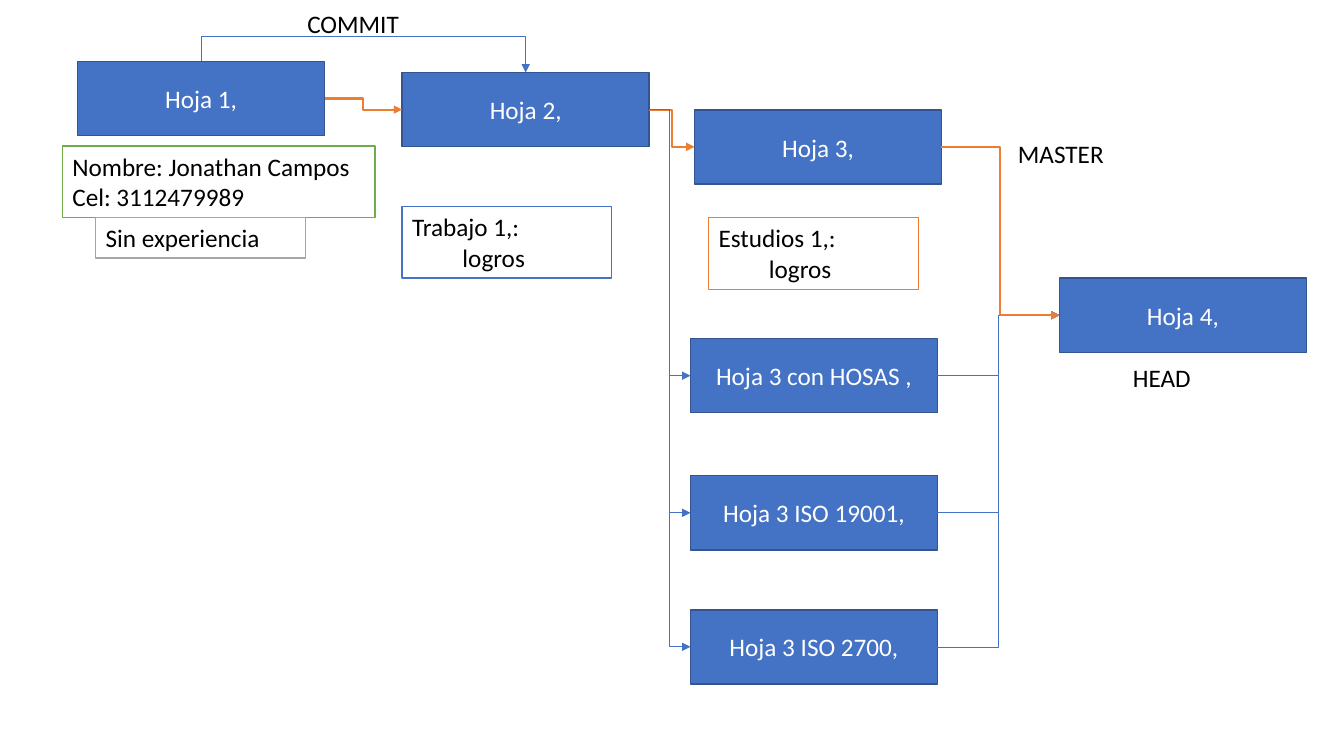
import pptx
import pptx.util
import pptx.dml.color
import pptx.enum.shapes
import pptx.enum.text
import pptx.oxml
import pptx.oxml.ns

presentation = pptx.Presentation()
presentation.slide_width = pptx.util.Inches(13.33)
presentation.slide_height = pptx.util.Inches(7.5)
slide = presentation.slides.add_slide(presentation.slide_layouts[6])

column = presentation.slide_width / 40
row = presentation.slide_height / 30
colors = {
    "blue": "4472C4", "navy": "325491", "orange": "ED7D31", "green": "70AD47",
    "gray": "A5A5A5", "white": "FFFFFF", "black": "000000",
}
TOP, LEFT, RIGHT = 0, 1, 3


def add_box(lines, left, top, width, height, fill=None, outline=None, ink="black", sheet=False):
    bounds = [int(left * column), int(top * row), int(width * column), int(height * row)]
    if fill:
        shape = slide.shapes.add_shape(pptx.enum.shapes.MSO_SHAPE.RECTANGLE, *bounds)
        shape.shadow.inherit = False
        shape.fill.solid()
        shape.fill.fore_color.rgb = pptx.dml.color.RGBColor.from_string(colors[fill])
        shape.line.color.rgb = pptx.dml.color.RGBColor.from_string(colors[outline])
        shape.line.width = pptx.util.Pt(1)
    else:
        shape = slide.shapes.add_textbox(*bounds)
    frame = shape.text_frame
    frame.word_wrap = True
    anchors = pptx.enum.text.MSO_ANCHOR
    frame.vertical_anchor = anchors.MIDDLE if sheet else anchors.TOP
    alignments = pptx.enum.text.PP_ALIGN
    for index, line in enumerate(lines):
        paragraph = frame.add_paragraph() if index else frame.paragraphs[0]
        paragraph.alignment = alignments.CENTER if sheet else alignments.LEFT
        run = paragraph.add_run()
        run.text = line
        run.font.name = "Calibri"
        run.font.size = pptx.util.Pt(18)
        run.font.color.rgb = pptx.dml.color.RGBColor.from_string(colors[ink])
    return shape


def add_arrow(start, start_site, end, end_site, color, weight):
    connector = slide.shapes.add_connector(pptx.enum.shapes.MSO_CONNECTOR.ELBOW, 0, 0, 0, 0)
    connector.begin_connect(start, start_site)
    connector.end_connect(end, end_site)
    connector.line.color.rgb = pptx.dml.color.RGBColor.from_string(colors[color])
    connector.line.width = pptx.util.Pt(weight)
    line = connector.line._get_or_add_ln()
    line.append(pptx.oxml.parse_xml(
        f'<a:tailEnd {pptx.oxml.ns.nsdecls("a")} type="triangle"/>'))
    connector._element.spPr.append(pptx.oxml.parse_xml(
        f'<a:effectLst {pptx.oxml.ns.nsdecls("a")}/>'))
    return connector


sheets = {}
for name, text, left, top in [
    ("first", "Hoja 1,", 2.31, 2.44),
    ("second", "Hoja 2,", 11.97, 2.88),
    ("third", "Hoja 3,", 20.67, 4.36),
    ("hosas", "Hoja 3 con HOSAS ,", 20.55, 13.44),
    ("iso 19001", "Hoja 3 ISO 19001,", 20.55, 18.88),
    ("iso 2700", "Hoja 3 ISO 2700,", 20.55, 24.2),
    ("fourth", "Hoja 4,", 31.53, 11.04),
]:
    sheets[name] = add_box([text], left, top, 7.35, 2.94, "blue", "navy", "white", True)

for lines, left, top, width, height, outline in [
    (["Nombre: Jonathan Campos", "Cel: 3112479989"], 1.86, 5.8, 9.3, 2.84, "green"),
    (["Sin experiencia "], 2.85, 8.64, 6.24, 1.6, "gray"),
    (["Trabajo 1,:", "\tlogros"], 11.97, 8.2, 6.24, 2.84, "blue"),
    (["Estudios 1,:", "\tlogros"], 21.09, 8.64, 6.24, 2.84, "orange"),
]:
    add_box(lines, left, top, width, height, "white", outline)

branches = ["hosas", "iso 19001", "iso 2700"]
master_steps = [("first", "second"), ("second", "third")]
branch_steps = [("second", branch) for branch in branches]
merge_steps = [(branch, "fourth") for branch in reversed(branches)]
for steps, color, weight in [
    (master_steps, "orange", 1.5),
    (branch_steps + merge_steps, "blue", 0.5),
    ([("third", "fourth")], "orange", 1.5),
]:
    for start, end in steps:
        add_arrow(sheets[start], RIGHT, sheets[end], LEFT, color, weight)

commit = add_arrow(sheets["first"], TOP, sheets["second"], TOP, "blue", 0.5)
span, drop = commit.width, commit.height
commit.left += (span - drop) // 2
commit.top -= (span - drop) // 2
commit.width, commit.height = drop, span
transform = commit._element.spPr.find(pptx.oxml.ns.qn("a:xfrm"))
transform.set("rot", "16200000")
transform.set("flipH", "1")
geometry = commit._element.spPr.find(pptx.oxml.ns.qn("a:prstGeom"))
geometry.set("prst", "bentConnector3")
for guides in list(geometry):
    geometry.remove(guides)
geometry.append(pptx.oxml.parse_xml(
    f'<a:avLst {pptx.oxml.ns.nsdecls("a")}><a:gd name="adj1" fmla="val -227300"/></a:avLst>'))

for label, left, top in [("COMMIT", 8.85, 0.12), ("MASTER", 30, 5.28), ("HEAD", 33.42, 14.2)]:
    add_box([label], left, top, 7.35, 1.6)

presentation.save("out.pptx")
